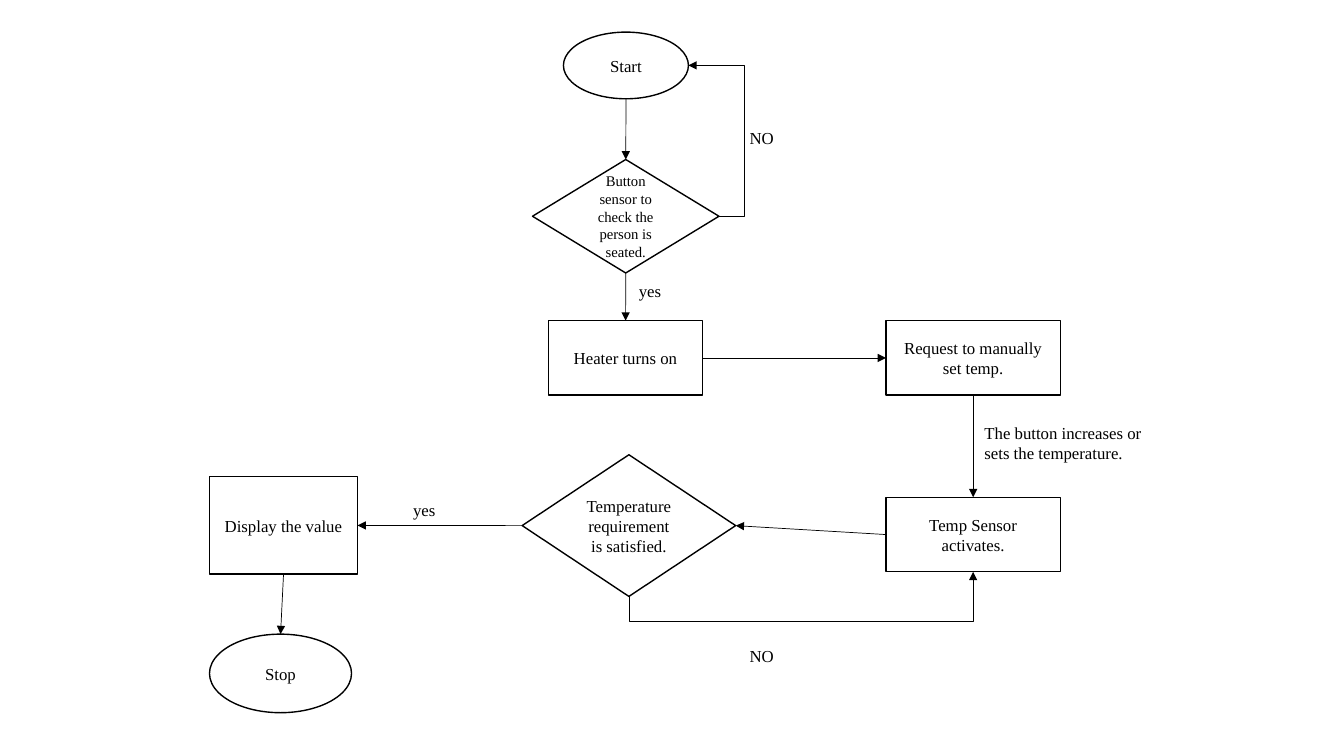
"""Flowchart of a seat heater control on one slide."""
import pptx
import pptx.dml.color
import pptx.enum.shapes
import pptx.enum.text
import pptx.oxml
import pptx.oxml.ns
import pptx.util

Cm = pptx.util.Cm
SHAPE = pptx.enum.shapes.MSO_SHAPE
LINK = pptx.enum.shapes.MSO_CONNECTOR
SIDES = {"top": (0.5, 0), "left": (0, 0.5), "bottom": (0.5, 1), "right": (1, 0.5)}


def rgb(value):
    """Turn a hex string into a colour."""
    return pptx.dml.color.RGBColor.from_string(value)


def child(parent, tag, **attrs):
    """Append a DrawingML element to parent."""
    el = pptx.oxml.parse_xml(f"<a:{tag} {pptx.oxml.ns.nsdecls('a')}/>")
    for name, value in attrs.items():
        el.set(name, str(value))
    parent.append(el)


class Flowchart:
    """Holds the style and the current slide."""

    ink, paper = "000000", "FFFFFF"
    font = {"name": "Times New Roman", "size": pptx.util.Pt(12)}

    def __init__(self, slide):
        """Keep the slide to draw on."""
        self.s = slide

    def put_text(self, sp, text, align, anchor, **font):
        """Put styled, wrapped text into a shape."""
        tf = sp.text_frame
        for name, value in {"word_wrap": True, "vertical_anchor": anchor}.items():
            setattr(tf, name, value)
        p = tf.paragraphs[0]
        p.alignment = align
        r = p.add_run()
        r.text = text
        for name, value in {**self.font, **font}.items():
            setattr(r.font, name, value)
        r.font.color.rgb = rgb(self.ink)

    def stroke(self, sp, width):
        """Set the line colour and width."""
        sp.line.color.rgb = rgb(self.ink)
        sp.line.width = pptx.util.Pt(width)

    def step(self, kind, text, x, y, w, h, **font):
        """Add an outlined step with centred text."""
        sp = self.s.shapes.add_shape(kind, Cm(x), Cm(y), Cm(w), Cm(h))
        sp.shadow.inherit = False
        sp.fill.solid()
        sp.fill.fore_color.rgb = rgb(self.paper)
        self.stroke(sp, 1)
        self.put_text(sp, text, pptx.enum.text.PP_ALIGN.CENTER,
                      pptx.enum.text.MSO_ANCHOR.MIDDLE, **font)
        return sp

    def label(self, text, x, y, w, h=0.76):
        """Add a text label."""
        sp = self.s.shapes.add_textbox(Cm(x), Cm(y), Cm(w), Cm(h))
        self.put_text(sp, text, pptx.enum.text.PP_ALIGN.LEFT,
                      pptx.enum.text.MSO_ANCHOR.TOP)

    def point(self, sp, side):
        """Find the middle of one side of a step."""
        fx, fy = SIDES[side]
        return int(sp.left + fx * sp.width), int(sp.top + fy * sp.height)

    def glue(self, cxn, tag, sp, side):
        """Attach one end of a connector to a step."""
        idx = list(SIDES).index(side)
        if sp.auto_shape_type == SHAPE.OVAL:
            idx *= 2
        child(cxn.element.nvCxnSpPr.cNvCxnSpPr, tag, id=sp.shape_id, idx=idx)

    def arrow(self, a, a_side, b, b_side, reach=None):
        """Add an arrow; reach is how far a bent one swings out."""
        (x1, y1), (x2, y2) = self.point(a, a_side), self.point(b, b_side)
        kind = LINK.ELBOW if reach else LINK.STRAIGHT
        turned = reach and a_side == "bottom"
        span = abs(y2 - y1) if turned else abs(x2 - x1)
        if turned:
            cx, cy, rise = (x1 + x2) // 2, (y1 + y2) // 2, abs(x2 - x1)
            x1, x2 = cx - span // 2, cx + span // 2
            y1, y2 = cy - rise // 2, cy + rise // 2
        cxn = self.s.shapes.add_connector(kind, x1, y1, x2, y2)
        spPr = cxn.element.spPr
        if turned:
            spPr.find(pptx.oxml.ns.qn("a:xfrm")).set("rot", "16200000")
        if reach:
            adj = round(-100000 * Cm(reach) / span)
            guides = spPr.find(".//" + pptx.oxml.ns.qn("a:avLst"))
            child(guides, "gd", name="adj1", fmla=f"val {adj}")
        self.stroke(cxn, 0.5)
        child(spPr.find(pptx.oxml.ns.qn("a:ln")), "tailEnd", type="triangle")
        child(spPr, "effectLst")
        self.glue(cxn, "stCxn", a, a_side)
        self.glue(cxn, "endCxn", b, b_side)


prs = pptx.Presentation()
prs.slide_width, prs.slide_height = Cm(33.87), Cm(19.05)
chart = Flowchart(prs.slides.add_slide(prs.slide_layouts[6]))

start = chart.step(SHAPE.OVAL, "Start", 14.2, 0.81, 3.15, 1.68)
seated = chart.step(SHAPE.FLOWCHART_DECISION,
                    "Button sensor to check the person is seated.",
                    13.42, 4.02, 4.7, 2.86, size=pptx.util.Pt(10.5))
heater = chart.step(SHAPE.RECTANGLE, "Heater turns on", 13.82, 8.08, 3.89, 1.88)
request = chart.step(SHAPE.RECTANGLE, "Request to manually set temp.",
                     22.33, 8.08, 4.39, 1.88)
sensor = chart.step(SHAPE.RECTANGLE, "Temp Sensor activates.",
                    22.33, 12.53, 4.39, 1.88)
satisfied = chart.step(SHAPE.FLOWCHART_DECISION, "Temperature requirement is satisfied.",
                       13.16, 11.46, 5.38, 3.57)
display = chart.step(SHAPE.RECTANGLE, "Display the value", 5.28, 12.01, 3.73, 2.46)
stop = chart.step(SHAPE.OVAL, "Stop", 5.28, 15.98, 3.58, 1.98)

for link in (
    (start, "bottom", seated, "top"),
    (seated, "right", start, "right", 0.64),
    (seated, "bottom", heater, "top"),
    (heater, "right", request, "left"),
    (request, "bottom", sensor, "top"),
    (sensor, "left", satisfied, "right"),
    (satisfied, "bottom", sensor, "bottom", 0.64),
    (satisfied, "left", display, "right"),
    (display, "bottom", stop, "top"),
):
    chart.arrow(*link)

for note in (
    ("yes", 15.85, 6.96, 1.17),
    ("NO", 18.64, 3.1, 3.96),
    ("The button increases or sets the temperature.", 24.56, 10.52, 4.67, 1.27),
    ("yes", 10.16, 12.47, 2.21),
    ("NO", 18.64, 16.15, 2.9),
):
    chart.label(*note)

prs.save("out.pptx")
